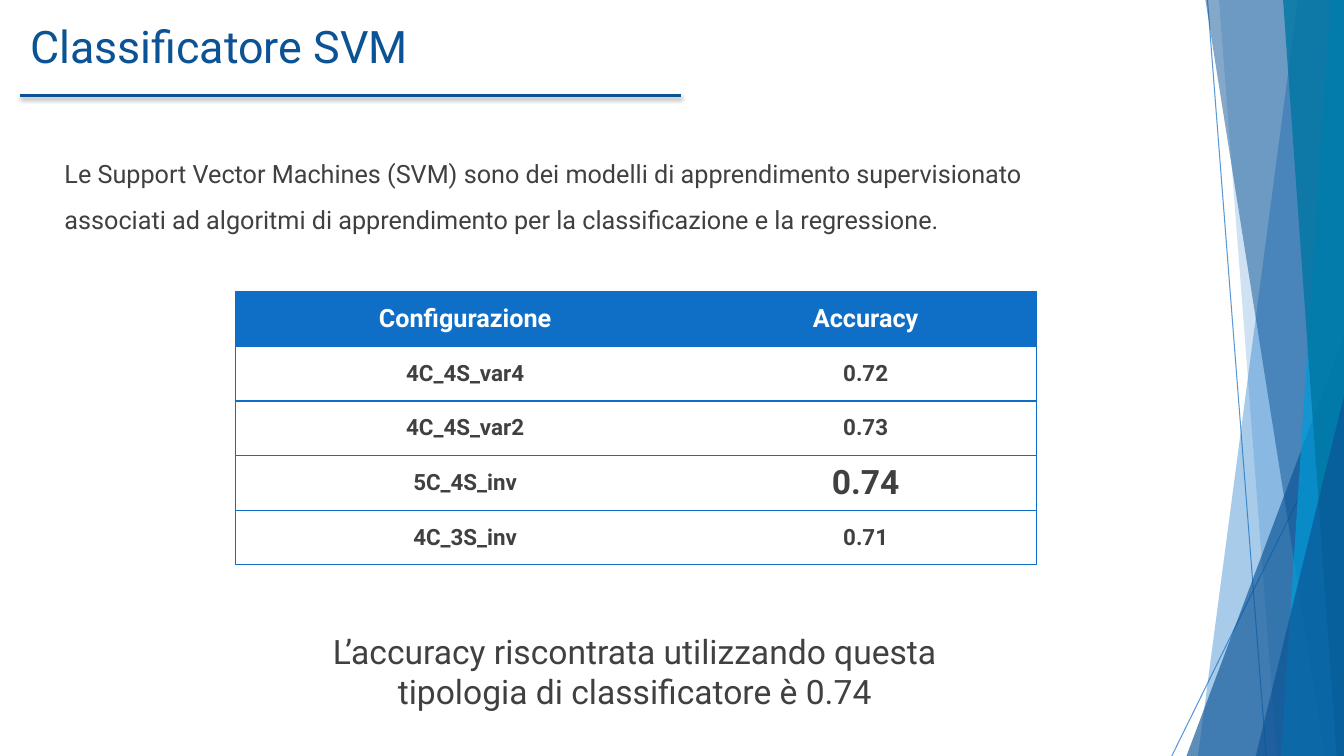
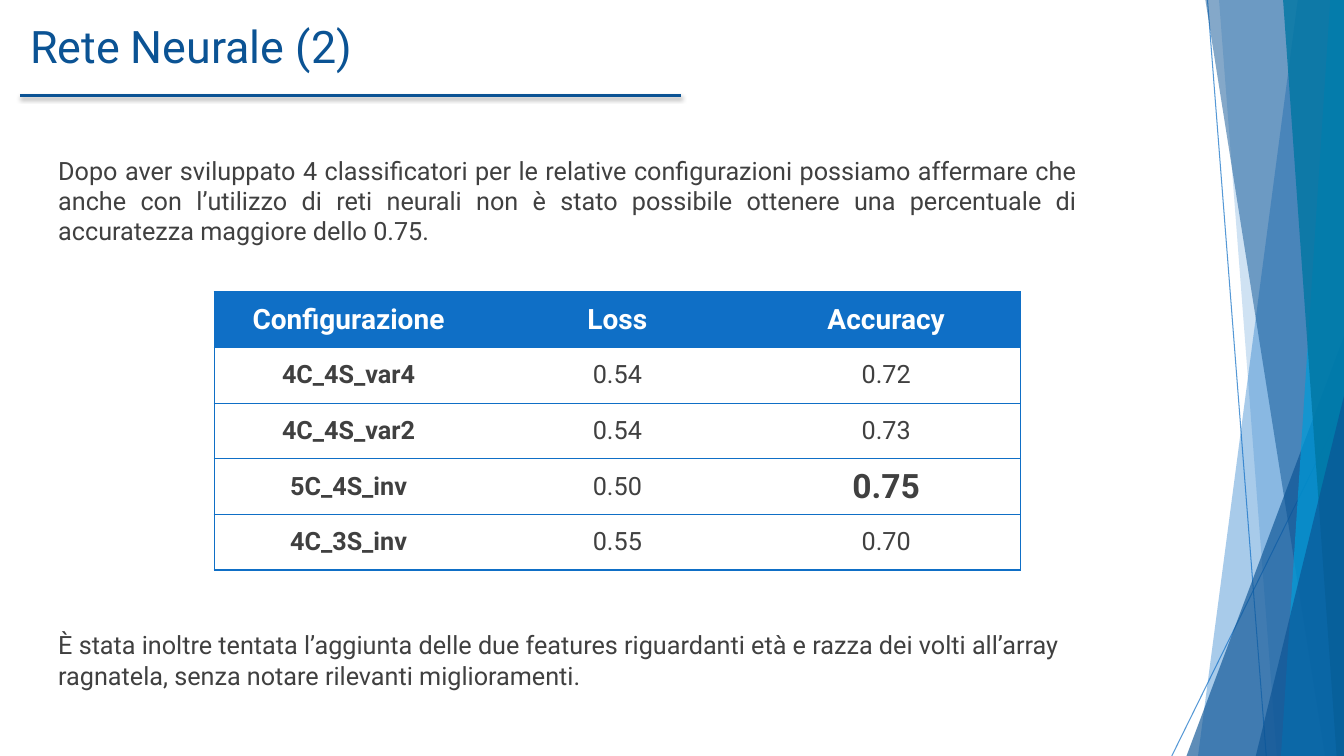
from lxml.etree import SubElement
from pptx import Presentation
from pptx.dml.color import RGBColor
from pptx.enum.shapes import MSO_CONNECTOR, MSO_SHAPE
from pptx.enum.text import MSO_ANCHOR, MSO_AUTO_SIZE, PP_ALIGN
from pptx.oxml import parse_xml
from pptx.oxml.ns import nsdecls, qn
from pptx.util import Pt

PX = 9525
WIDTH, HEIGHT = 1280, 720
FONT = "Roboto"
BLUE = RGBColor(0x0F, 0x6F, 0xC6)
NAVY = RGBColor(0x0B, 0x53, 0x94)
CYAN = RGBColor(0x00, 0x9D, 0xD9)
TEAL = RGBColor(0x00, 0x76, 0xA3)
GREY = RGBColor(0x40, 0x40, 0x40)
WHITE = RGBColor(0xFF, 0xFF, 0xFF)

CONFIGURATIONS = ["4C_4S_var4", "4C_4S_var2", "5C_4S_inv", "4C_3S_inv"]


def px(*lengths):
    return [length * PX for length in lengths]


def set_alpha(sp, percent):
    color = next(sp.element.spPr.iter(qn("a:srgbClr")))
    SubElement(color, qn("a:alpha")).set("val", str(percent * 1000))


def set_font(p, size, color, bold=False):
    p.font.name = FONT
    p.font.size = Pt(size)
    p.font.bold = bold
    p.font.color.rgb = color


def add_line(slide, ends, color, weight):
    line = slide.shapes.add_connector(MSO_CONNECTOR.STRAIGHT, *px(*ends))
    line.line.color.rgb = color
    line.line.width = Pt(weight)
    effects = SubElement(line.element.spPr, qn("a:effectLst"))
    return line, effects


def paint(sp, color, alpha):
    sp.fill.solid()
    sp.fill.fore_color.rgb = color
    sp.line.fill.background()
    sp.shadow.inherit = False
    set_alpha(sp, alpha)
    return sp


def add_band(slide, top_x, bottom_x, color, alpha):
    builder = slide.shapes.build_freeform(top_x, 0, scale=PX)
    builder.add_line_segments([(WIDTH, 0), (WIDTH, HEIGHT), (bottom_x, HEIGHT)])
    return paint(builder.convert_to_shape(), color, alpha)


def add_wedge(slide, left, top, color, alpha):
    box = px(left, top, WIDTH - left, HEIGHT - top)
    sp = slide.shapes.add_shape(MSO_SHAPE.ISOSCELES_TRIANGLE, *box)
    sp.adjustments[0] = 1
    return paint(sp, color, alpha)


def add_rule(slide):
    rule, effects = add_line(slide, (19, 91, 649, 91), NAVY, 2)
    effects.append(parse_xml(
        f'<a:outerShdw {nsdecls("a")} blurRad="{Pt(3)}" dist="{Pt(2)}" dir="5400000">'
        '<a:srgbClr val="000000"><a:alpha val="35000"/></a:srgbClr></a:outerShdw>'))
    return rule


def decorate_layout(layout, slide):
    title = layout.placeholders[0]
    title.left, title.top, title.width, title.height = px(19, 13, 725, 81)
    parts = []
    for ends in ((1150, 0, 1206, HEIGHT), (WIDTH, 387, 1116, HEIGHT)):
        line, _ = add_line(slide, ends, BLUE, 0.75)
        set_alpha(line, 70)
        parts.append(line)
    parts += [
        add_band(slide, 1236, 1141, BLUE, 36),
        add_band(slide, 1161, 1216, BLUE, 20),
        add_wedge(slide, 1130, 320, NAVY, 66),
        add_band(slide, 1148, 1262, NAVY, 50),
        add_band(slide, 1267, 1220, CYAN, 70),
        add_band(slide, 1222, 1273, TEAL, 80),
        add_wedge(slide, 1196, 377, NAVY, 66),
        add_rule(slide),
    ]
    for part in parts:
        layout.shapes.element.append(part.element)


def set_title(slide, text):
    tf = slide.shapes.title.text_frame
    tf.text = text
    tf.vertical_anchor = MSO_ANCHOR.TOP
    tf.auto_size = MSO_AUTO_SIZE.NONE
    p = tf.paragraphs[0]
    p.alignment = PP_ALIGN.LEFT
    set_font(p, 32, NAVY)


def add_text(slide, box, text, size=18, align=PP_ALIGN.LEFT, spacing=None):
    tf = slide.shapes.add_textbox(*px(*box)).text_frame
    tf.word_wrap = True
    tf.text = text
    p = tf.paragraphs[0]
    p.alignment = align
    p.line_spacing = spacing
    set_font(p, size, GREY)


def set_borders(cell, **shown):
    tcPr = cell._tc.get_or_add_tcPr()
    for i, side in enumerate("LRTB"):
        fill = (f'<a:solidFill><a:srgbClr val="{BLUE}"/></a:solidFill>'
                if shown.get(side, True) else "<a:noFill/>")
        tcPr.insert(i, parse_xml(
            f'<a:ln{side} {nsdecls("a")} w="{Pt(1)}">{fill}</a:ln{side}>'))


def fill_cell(cell, text, size, color, bold):
    cell.text = text
    cell.vertical_anchor = MSO_ANCHOR.MIDDLE
    cell.margin_left, cell.margin_right = px(7, 7)
    cell.margin_top = cell.margin_bottom = 0
    p = cell.text_frame.paragraphs[0]
    p.alignment = PP_ALIGN.CENTER
    p.space_after = Pt(12)
    set_font(p, size, color, bold)


def add_results(slide, left, widths, row_height, header, columns, size, bold_values):
    rows = [header, *zip(CONFIGURATIONS, *columns)]
    best = max(columns[-1], key=float)
    last = len(header) - 1
    box = px(left, 278, sum(widths), row_height * len(rows))
    table = slide.shapes.add_table(len(rows), len(header), *box).table
    table.horz_banding = False
    for column, width in zip(table.columns, widths):
        column.width = width * PX
    for r, values in enumerate(rows):
        for c, text in enumerate(values):
            cell = table.cell(r, c)
            if r == 0:
                fill_cell(cell, text, size + 2, WHITE, True)
                cell.fill.solid()
                cell.fill.fore_color.rgb = BLUE
            else:
                is_best = c == last and text == best
                bold = bold_values or c == 0 or is_best
                fill_cell(cell, text, 24 if is_best else size, GREY, bold)
                cell.fill.background()
            set_borders(cell, L=c == 0, R=c == last)


def build_svm(slide):
    set_title(slide, "Classificatore SVM")
    add_text(slide, (52, 132, 961, 91),
             "Le Support Vector Machines (SVM) sono dei modelli di apprendimento "
             "supervisionato associati ad algoritmi di apprendimento per la "
             "classificazione e la regressione.", spacing=1.5)
    add_results(slide, 224, [438, 325], 52, ["Configurazione", "Accuracy"],
                [["0.72", "0.73", "0.74", "0.71"]], 16, True)
    add_text(slide, (253, 596, 703, 87),
             "L’accuracy riscontrata utilizzando questa tipologia di "
             "classificatore è 0.74", 24, PP_ALIGN.CENTER)


def build_network(slide):
    set_title(slide, "Rete Neurale (2)")
    add_text(slide, (46, 143, 989, 120),
             "Dopo aver sviluppato 4 classificatori per le relative configurazioni "
             "possiamo affermare che anche con l’utilizzo di reti neurali non è stato "
             "possibile ottenere una percentuale di accuratezza maggiore dello 0.75.",
             align=PP_ALIGN.JUSTIFY)
    add_results(slide, 204, [256] * 3, 53, ["Configurazione", "Loss", "Accuracy"],
                [["0.54", "0.54", "0.50", "0.55"], ["0.72", "0.73", "0.75", "0.70"]],
                18, False)
    add_text(slide, (46, 595, 989, 68),
             "È stata inoltre tentata l’aggiunta delle due features riguardanti età e "
             "razza dei volti all’array ragnatela, senza notare rilevanti miglioramenti.")


def main():
    prs = Presentation()
    prs.slide_width, prs.slide_height = px(WIDTH, HEIGHT)
    layout = prs.slide_layouts[5]
    slides = [prs.slides.add_slide(layout) for _ in range(2)]
    decorate_layout(layout, slides[0])
    build_svm(slides[0])
    build_network(slides[1])
    prs.save("out.pptx")


if __name__ == "__main__":
    main()
